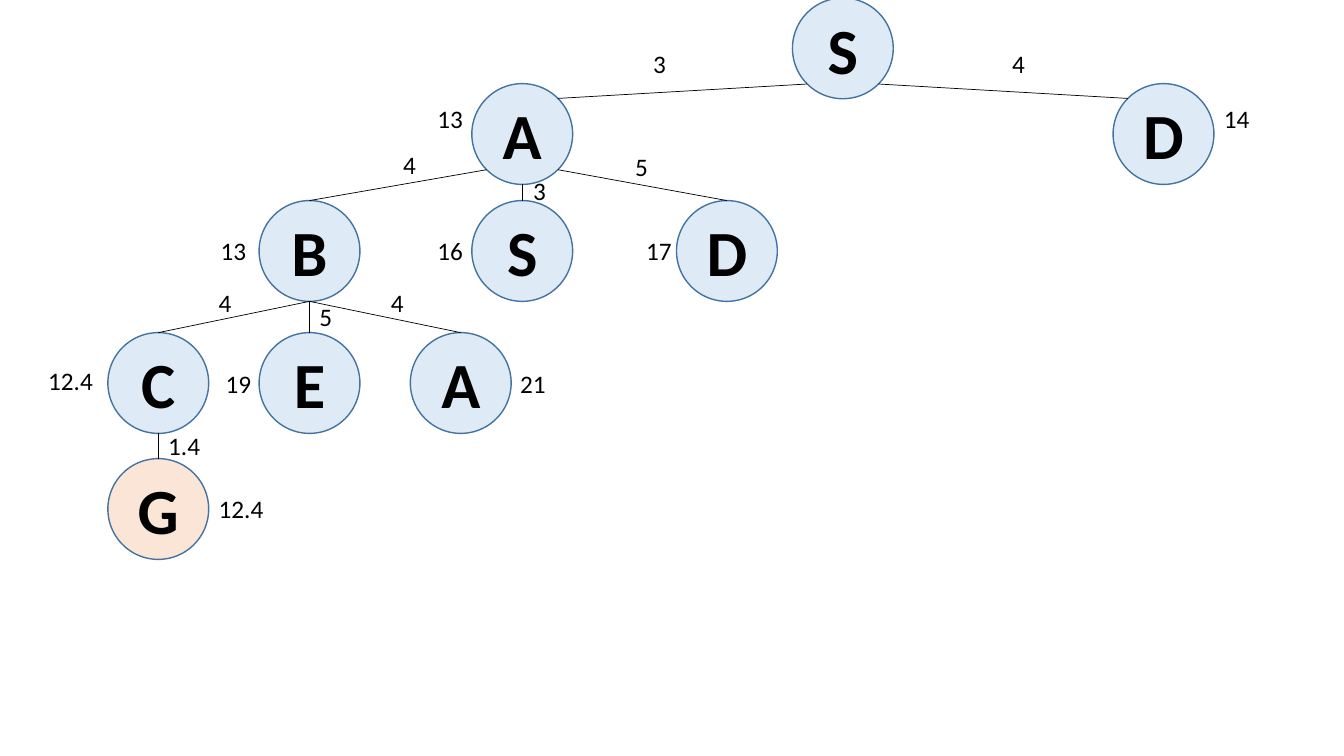
from math import sqrt

from pptx import Presentation
from pptx.dml.color import RGBColor
from pptx.enum.shapes import MSO_CONNECTOR, MSO_SHAPE
from pptx.enum.text import MSO_ANCHOR, MSO_AUTO_SIZE, PP_ALIGN
from pptx.oxml.ns import qn
from pptx.util import Inches, Pt

OVAL = MSO_SHAPE.OVAL
LINE = MSO_CONNECTOR.STRAIGHT
MIDDLE = MSO_ANCHOR.MIDDLE
CENTER = PP_ALIGN.CENTER
GROW = MSO_AUTO_SIZE.SHAPE_TO_FIT_TEXT

# Tree rows and columns: left and top of each node
ROWS = (-0.02, 0.83, 1.99, 3.3, 4.55)
COLS = {"C": 1.07, "B": 2.57, "BA": 4.07, "A": 4.68,
        "AD": 6.71, "S": 7.86, "D": 11.04}

# Search path: (letter, column, row, score, score left, score top)
NODES = {
    "S": ("S", "S", 0, None, 0, 0),
    "SA": ("A", "A", 1, "13", 4.24, 0.98),
    "SD": ("D", "D", 1, "14", 12.04, 0.98),
    "SAB": ("B", "B", 2, "13", 2.09, 2.29),
    "SAS": ("S", "A", 2, "16", 4.24, 2.29),
    "SAD": ("D", "AD", 2, "17", 6.31, 2.29),
    "SABC": ("C", "C", 3, "12.4", 0.38, 3.58),
    "SABE": ("E", "B", 3, "19", 2.14, 3.6),
    "SABA": ("A", "BA", 3, "21", 5.06, 3.6),
    "SABCG": ("G", "C", 4, "12.4", 2.07, 4.84),
}
GOAL = "SABCG"

# Child path: (parent side, child side, cost, cost left, cost top)
EDGES = {
    "SA": ("low left", "high right", "3", 6.38, 0.43),
    "SD": ("low right", "high left", "4", 9.94, 0.43),
    "SAB": ("low left", "top", "4", 3.9, 1.43),
    "SAS": ("bottom", "top", "3", 5.19, 1.69),
    "SAD": ("low right", "top", "5", 6.2, 1.45),
    "SABC": ("bottom", "top", "4", 2.07, 2.8),
    "SABE": ("bottom", "top", "5", 3.07, 2.94),
    "SABA": ("bottom", "top", "4", 3.78, 2.8),
    "SABCG": ("bottom", "top", "1.4", 1.57, 4.22),
}

THEME = {
    "font": "Calibri",
    "node": RGBColor(0xDE, 0xEB, 0xF7),
    "goal": RGBColor(0xFB, 0xE5, 0xD6),
    "rim": RGBColor(0x43, 0x73, 0x9E),
    "ink": RGBColor(0, 0, 0),
    "big": Pt(46),
    "small": Pt(18),
    "rim width": Pt(1),
    "edge width": Pt(0.5),
}
SIZE = 1
HALF = SIZE / 2
DIAG = HALF / sqrt(2)
SIDES = {
    "top": (0, -HALF), "bottom": (0, HALF),
    "low left": (-DIAG, DIAG), "low right": (DIAG, DIAG),
    "high left": (-DIAG, -DIAG), "high right": (DIAG, -DIAG),
}
WIDTHS = {"1": 0.34, "2": 0.48, "3": 0.55, "4": 0.69}
LABEL_H = 0.4


def style(item, values):
    for name, value in values.items():
        setattr(item, name, value)


def write(frame, text, size, bold=False):
    run = frame.paragraphs[0].add_run()
    run.text = text
    style(run.font, {"name": THEME["font"], "size": size, "bold": bold})
    run.font.color.rgb = THEME["ink"]


def add_node(slide, key):
    letter, col, row = NODES[key][:3]
    node = slide.shapes.add_shape(OVAL, Inches(COLS[col]), Inches(ROWS[row]),
                                  Inches(SIZE), Inches(SIZE))
    node.shadow.inherit = False
    node.fill.solid()
    node.fill.fore_color.rgb = THEME["goal" if key == GOAL else "node"]
    node.line.color.rgb = THEME["rim"]
    node.line.width = THEME["rim width"]
    node.text_frame.vertical_anchor = MIDDLE
    node.text_frame.paragraphs[0].alignment = CENTER
    write(node.text_frame, letter, THEME["big"], True)
    return node


def spot(key, side):
    """Return the point on the rim of a node at the named side."""
    col, row = NODES[key][1:3]
    dx, dy = SIDES[side]
    return Inches(COLS[col] + HALF + dx), Inches(ROWS[row] + HALF + dy)


def add_edge(slide, key, ovals):
    start, end = EDGES[key][:2]
    edge = slide.shapes.add_connector(LINE, *spot(key[:-1], start),
                                      *spot(key, end))
    if end == "top":
        edge.end_connect(ovals[key], 0)
    edge.line.color.rgb = THEME["ink"]
    edge.line.width = THEME["edge width"]
    props = edge._element.spPr
    props.append(props.makeelement(qn("a:effectLst"), {}))


def add_label(slide, text, left, top):
    width = WIDTHS[str(len(text))]
    box = slide.shapes.add_textbox(Inches(left), Inches(top),
                                   Inches(width), Inches(LABEL_H))
    style(box.text_frame, {"word_wrap": False, "auto_size": GROW})
    write(box.text_frame, text, THEME["small"])


def main():
    deck = Presentation()
    style(deck, {"slide_width": Inches(13.33), "slide_height": Inches(7.5)})
    slide = deck.slides.add_slide(deck.slide_layouts[6])
    ovals = {key: add_node(slide, key) for key in NODES}
    for key in EDGES:
        add_edge(slide, key, ovals)
    for item in (*NODES.values(), *EDGES.values()):
        text, left, top = item[-3:]
        if text:
            add_label(slide, text, left, top)
    deck.save("out.pptx")


if __name__ == "__main__":
    main()
